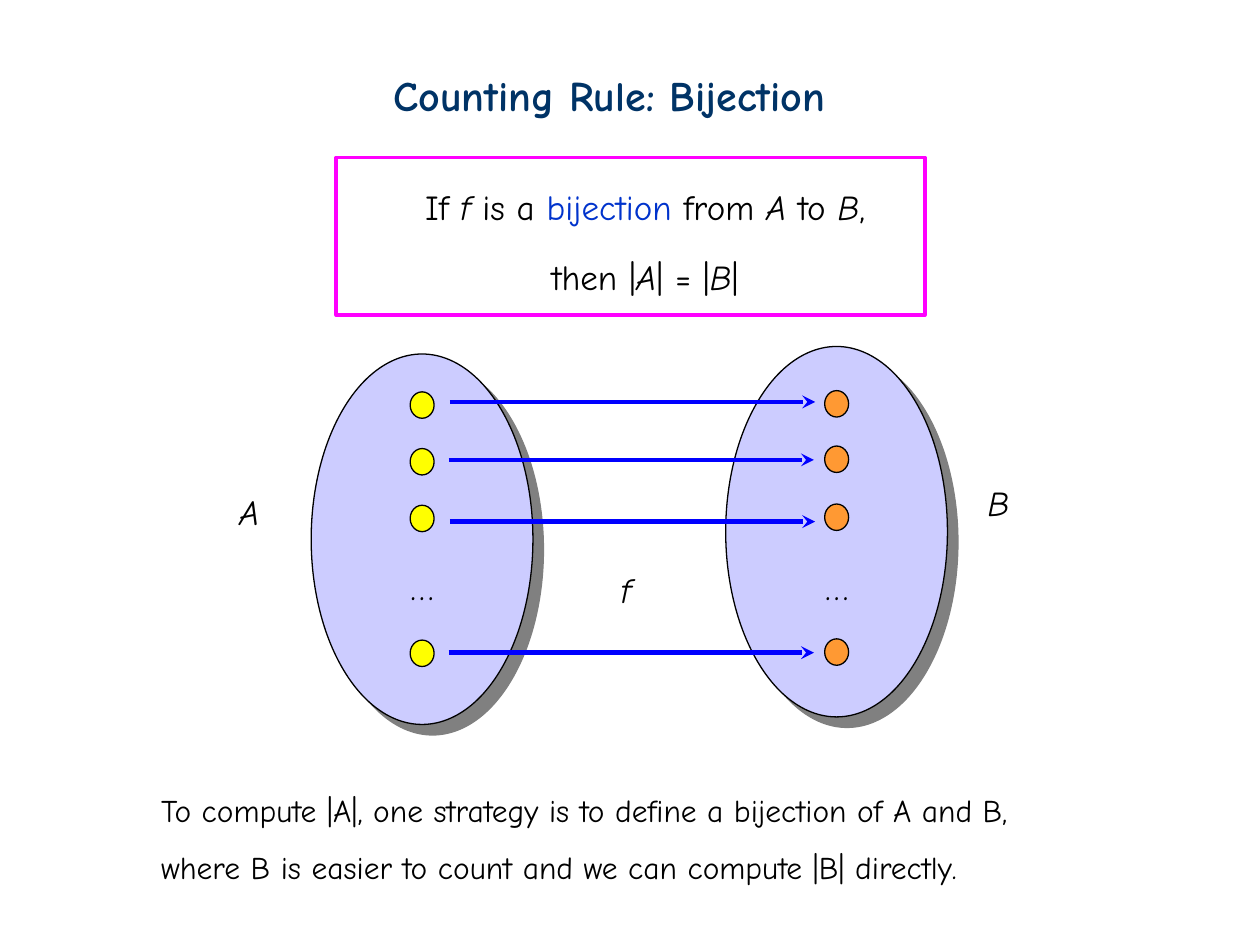
from lxml import etree
from pptx import Presentation
from pptx.dml.color import RGBColor
from pptx.enum import shapes, text
from pptx.oxml import ns
from pptx.util import Inches, Pt

FONT = "Comic Neue"
BLACK = RGBColor(0, 0, 0)
NAVY = RGBColor(0x00, 0x33, 0x66)
BLUE = RGBColor(0x00, 0x33, 0xCC)
ARROW = RGBColor(0x00, 0x00, 0xFF)
PINK = RGBColor(0xFF, 0x00, 0xFF)
LILAC = RGBColor(0xCC, 0xCC, 0xFF)
YELLOW = RGBColor(0xFF, 0xFF, 0x00)
ORANGE = RGBColor(0xFF, 0x99, 0x33)

# Content: a line is a list of (text, style), style "i" italic, "k" key word
TITLE = "Counting Rule: Bijection"
RULE = [
    [("If ", ""), ("f", "i"), (" is a ", ""), ("bijection", "k"), (" from ", ""),
     ("A", "i"), (" to ", ""), ("B", "i"), (",", "")],
    [("then |", ""), ("A", "i"), ("| = |", ""), ("B", "i"), ("|", "")],
]
NOTE = [
    [("To compute |A|, one strategy is to define a bijection of A and B,", "")],
    [("where B is easier to count and we can compute |B| directly.", "")],
]
# Sets: name, name box, centre x, top, dot colour, dot tops
SETS = [
    ("A", (1.8, 3.84, 0.4, 0.43), 3.35, 2.81, YELLOW, (3.11, 3.56, 4.01, 5.08)),
    ("B", (7.74, 3.77, 0.38, 0.43), 6.64, 2.75, ORANGE, (3.1, 3.54, 4, 5.07)),
]
ARROWS = [(3.57, 3.19), (3.56, 3.65), (3.57, 4.14), (3.56, 5.18)]
SPAN = 2.9
OVAL = (1.76, 2.94)
DOT = (0.19, 0.21)

deck = Presentation()
deck.slide_width, deck.slide_height = Inches(10), Inches(7.5)
slide = deck.slides.add_slide(deck.slide_layouts[5])


def write(lines, at, size=20, color=BLACK, bold=False, align=text.PP_ALIGN.LEFT,
          lead=1.5, gap=0, box=None):
    at = [Inches(v) for v in at]
    if box is None:
        box = slide.shapes.add_textbox(*at)
    box.left, box.top, box.width, box.height = at
    frame = box.text_frame
    frame.word_wrap = True
    frame.auto_size = text.MSO_AUTO_SIZE.NONE
    frame.vertical_anchor = text.MSO_ANCHOR.TOP
    for n, line in enumerate(lines):
        para = frame.add_paragraph() if n else frame.paragraphs[0]
        para.alignment = align
        if n:
            para.line_spacing = lead
            para.space_before = Pt(gap)
        for words, style in line:
            run = para.add_run()
            run.text = words
            font = run.font
            font.name, font.size, font.bold = FONT, Pt(size), bold
            font.italic = style == "i"
            font.color.rgb = BLUE if style == "k" else color


def draw(kind, at, fill=None, line=BLACK, width=0.75):
    shape = slide.shapes.add_shape(kind, *[Inches(v) for v in at])
    shape.shadow.inherit = False
    if fill is None:
        shape.fill.background()
    else:
        shape.fill.solid()
        shape.fill.fore_color.rgb = fill
    shape.line.color.rgb = line
    shape.line.width = Pt(width)
    return shape


def oval(mid, top, size, fill):
    at = (mid - size[0] / 2, top, *size)
    return draw(shapes.MSO_SHAPE.OVAL, at, fill)


def shade(shape):
    effects = shape._element.spPr.find(ns.qn("a:effectLst"))
    cast = etree.SubElement(effects, ns.qn("a:outerShdw"), dist=str(Pt(8.5)),
                            dir="2700000", algn="ctr", rotWithShape="0")
    etree.SubElement(cast, ns.qn("a:srgbClr"), val="808080")


# Title and rule
write([[(TITLE, "")]], (3.02, 0.5, 4.03, 0.5), size=24, color=NAVY, bold=True,
      box=slide.shapes.title)
write(RULE, (0.58, 1.42, 9.08, 1), align=text.PP_ALIGN.CENTER, gap=4)
draw(shapes.MSO_SHAPE.RECTANGLE, (2.67, 1.25, 4.67, 1.25), line=PINK, width=2.25)

# Two sets with their members
for name, spot, mid, top, color, dots in SETS:
    shade(oval(mid, top, OVAL, LILAC))
    write([[(name, "i")]], spot)
    for y in dots:
        oval(mid, y, DOT, color)
    write([[("…", "")]], (mid - 0.2, 4.44, 0.4, 0.43), align=text.PP_ALIGN.CENTER)

# Arrows of the mapping
for x, y in ARROWS:
    link = slide.shapes.add_connector(
        shapes.MSO_CONNECTOR.STRAIGHT,
        Inches(x), Inches(y), Inches(x + SPAN), Inches(y))
    link.line.color.rgb = ARROW
    link.line.width = Pt(2.5)
    etree.SubElement(link.line._get_or_add_ln(), ns.qn("a:tailEnd"), type="stealth",
                     w="med", len="med")
    etree.SubElement(link._element.spPr, ns.qn("a:effectLst"))
write([[("f", "i")]], (4.83, 4.46, 0.34, 0.43))

# Closing note
write(NOTE, (1.18, 6.23, 7.74, 0.85), size=18)

deck.save("out.pptx")
